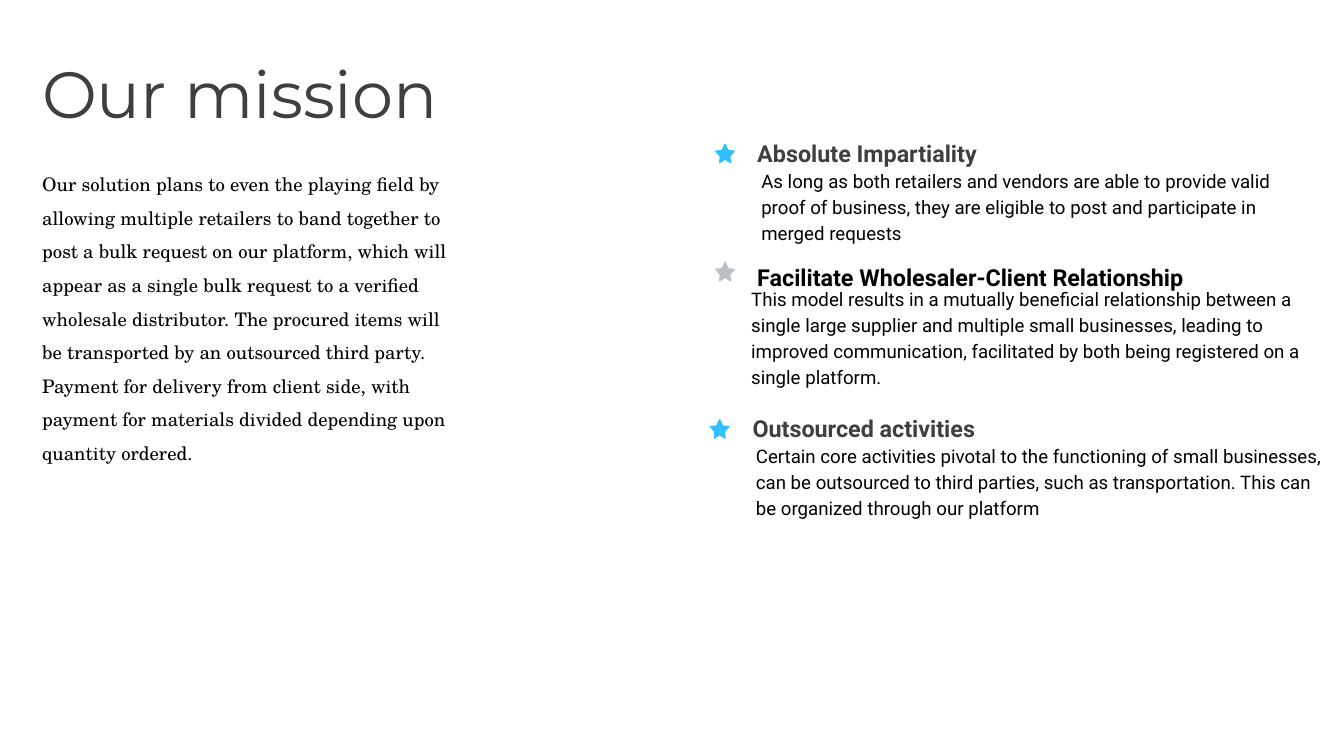
from dataclasses import dataclass

from pptx import Presentation
from pptx.dml.color import RGBColor
from pptx.enum.text import MSO_AUTO_SIZE
from pptx.util import Inches, Pt


@dataclass(frozen=True)
class Theme:
    dark: str = "3F3F3F"
    black: str = "000000"
    blue: str = "31C0FF"
    grey: str = "BBC0C3"
    title_font: str = "Montserrat"
    serif_font: str = "TeX Gyre Schola"
    sans_font: str = "Roboto"
    title_size: int = 70
    heading_size: int = 25
    body_size: int = 20


THEME = Theme()

STAR_WIDTH = 0.3
# Right half of a star with blunt tips, from the top to the bottom notch
STAR_HALF = [(0.16, 0), (0.2, 0.09), (0.29, 0.1), (0.3, 0.11), (0.29, 0.12),
             (0.23, 0.19), (0.24, 0.28), (0.23, 0.29), (0.15, 0.24)]

MISSION = (
    "Our solution plans to even the playing field by allowing multiple retailers "
    "to band together to post a bulk request on our platform, which will appear as "
    "a single bulk request to a verified wholesale distributor. The procured items "
    "will be transported by an outsourced third party. Payment for delivery from "
    "client side, with payment for materials divided depending upon quantity ordered."
)

# Each point: star (left, top, colour), heading (box, text, format), body (box, text)
POINTS = [
    ((10.64, 2.14, THEME.blue),
     ((11.17, 2.02, 4.99, 0.52), "Absolute Impartiality", {"color": THEME.dark}),
     ((10.23, 2.43, 9.38, 1.6),
      "As long as both retailers and vendors are able to provide valid proof of "
      "business, they are eligible to post and participate in merged requests")),
    ((10.64, 3.9, THEME.grey),
     ((11.17, 3.8, 7.28, 0.58), "Facilitate Wholesaler-Client Relationship",
      {"color": THEME.black, "line_spacing": 1.15}),
     ((10.08, 4.19, 9.81, 1.6),
      "This model results in a mutually beneficial relationship between a single "
      "large supplier and multiple small businesses, leading to improved "
      "communication, facilitated by both being registered on a single platform.")),
    ((10.56, 6.24, THEME.blue),
     ((11.1, 6.12, 4.99, 0.52), "Outsourced activities", {"color": THEME.dark}),
     ((10.15, 6.52, 9.66, 1.77),
      "Certain core activities pivotal to the functioning of small businesses, can "
      "be outsourced to third parties, such as transportation. This can be "
      "organized through our platform")),
]


def add_text(slide, box, text, *, font, size, color=THEME.black, bold=False,
             line_spacing=None, indent=0):
    """Add a wrapped text box; box is left, top, width, height in inches."""
    shape = slide.shapes.add_textbox(*map(Inches, box))
    frame = shape.text_frame
    frame.word_wrap = True
    frame.auto_size = MSO_AUTO_SIZE.SHAPE_TO_FIT_TEXT
    paragraph = frame.paragraphs[0]
    if line_spacing:
        paragraph.line_spacing = line_spacing
    if indent:
        properties = paragraph._p.get_or_add_pPr()
        properties.set("marL", str(Inches(indent)))
        properties.set("indent", "0")
    run = paragraph.add_run()
    run.text = text
    run.font.name = font
    run.font.size = Pt(size)
    run.font.bold = bold
    run.font.color.rgb = RGBColor.from_string(color)


def add_star(slide, left, top, color):
    mirrored = [(STAR_WIDTH - x, y) for x, y in reversed(STAR_HALF[:-1])]
    outline = [(Inches(left + x), Inches(top + y)) for x, y in STAR_HALF + mirrored]
    builder = slide.shapes.build_freeform(*outline[0])
    builder.add_line_segments(outline[1:], close=True)
    shape = builder.convert_to_shape()
    shape.shadow.inherit = False
    shape.fill.solid()
    shape.fill.fore_color.rgb = RGBColor.from_string(color)
    shape.line.fill.background()


def add_point(slide, star, heading, body):
    """Add a star with its heading and explanation."""
    add_star(slide, *star)
    add_text(slide, *body, font=THEME.sans_font, size=THEME.body_size,
             line_spacing=1.15, indent=1)
    box, text, style = heading
    add_text(slide, box, text, font=THEME.sans_font, size=THEME.heading_size,
             bold=True, **style)


def main():
    presentation = Presentation()
    presentation.slide_width = Inches(20)
    presentation.slide_height = Inches(11.25)
    slide = presentation.slides.add_slide(presentation.slide_layouts[6])

    add_text(slide, (0.53, 0.74, 6.78, 1.28), "Our mission",
             font=THEME.title_font, size=THEME.title_size, color=THEME.dark)
    add_text(slide, (0.53, 2.36, 6.23, 5.49), MISSION,
             font=THEME.serif_font, size=THEME.body_size, line_spacing=1.5)
    for point in POINTS:
        add_point(slide, *point)

    presentation.save("out.pptx")


if __name__ == "__main__":
    main()
